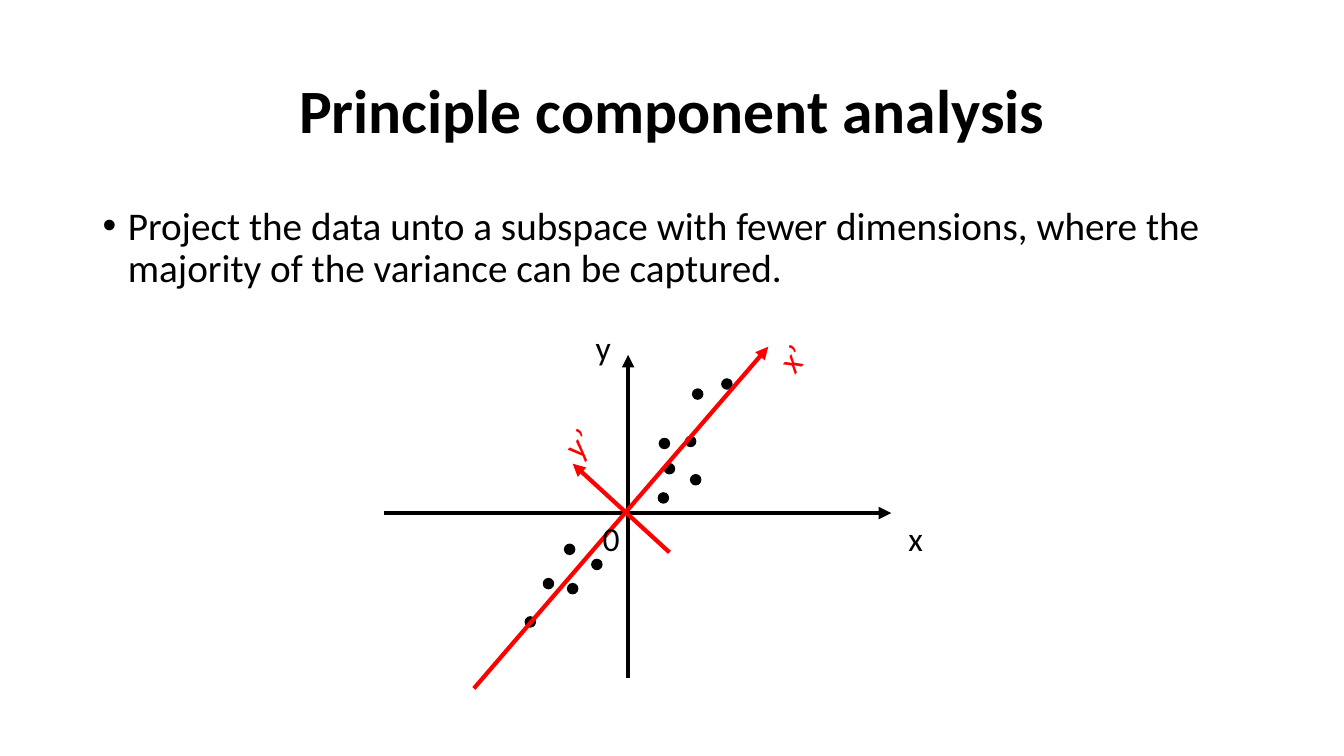
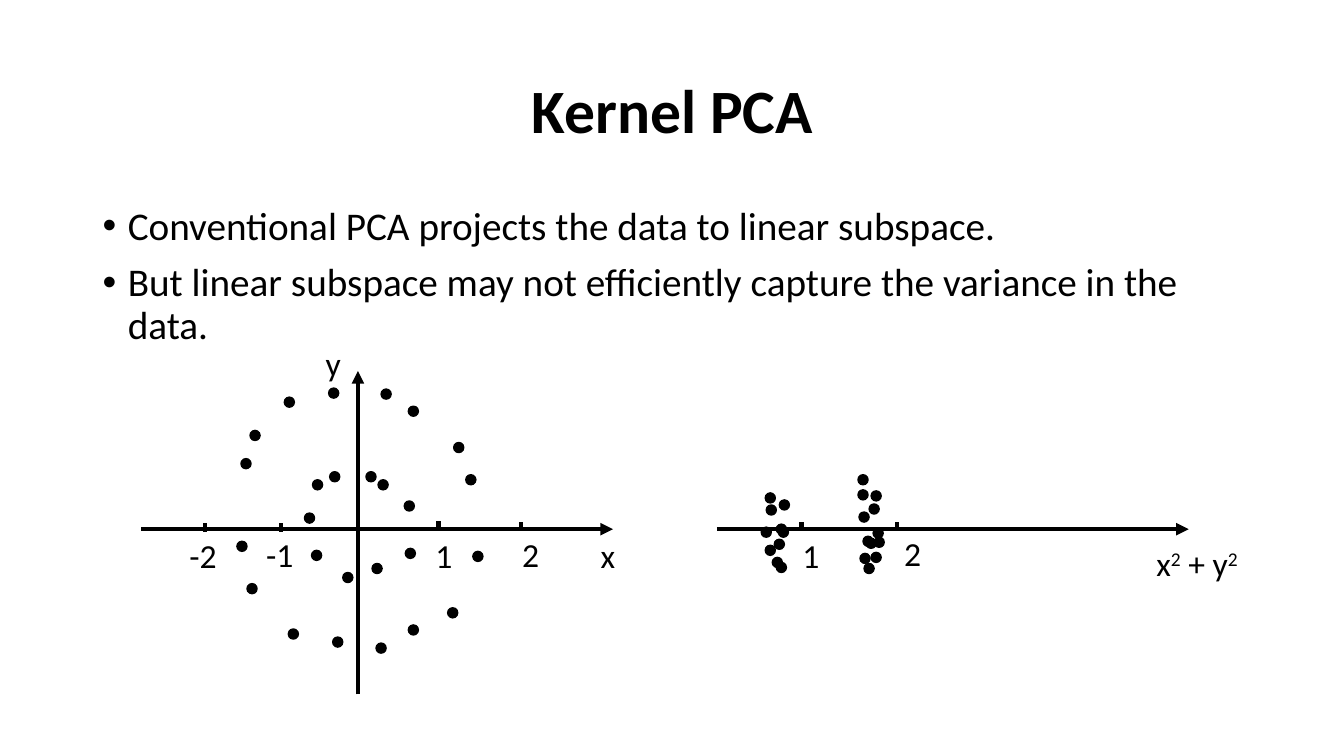
from dataclasses import dataclass

from lxml.etree import SubElement
from pptx import Presentation
from pptx.dml.color import RGBColor
from pptx.enum.shapes import MSO_CONNECTOR as Connector, MSO_SHAPE as Preset
from pptx.enum.text import MSO_ANCHOR as Anchor, MSO_AUTO_SIZE as AutoSize, PP_ALIGN as Align
from pptx.oxml.ns import qn
from pptx.slide import Slide
from pptx.text.text import TextFrame
from pptx.util import Inches, Pt

COLORS = {"ink": "000000", "component": "FF0000", "background": "FFFFFF"}
FONT = "Calibri"
DOT_SIZE = 0.1
LABEL_HEIGHT = 0.5
AXIS_WIDTH = 3
SUPERSCRIPT = "30000"

Point = tuple[float, float]


@dataclass(frozen=True)
class Line:
    start: Point
    end: Point
    color: str = "ink"
    arrow: bool = True


@dataclass(frozen=True)
class Label:
    text: str
    left: float
    top: float
    width: float = 0.37
    color: str = "ink"
    rotation: float = 0


@dataclass(frozen=True)
class Plot:
    dots: list[Point]
    lines: list[Line]
    labels: list[Label]


def tick(x: float, top: float = 5.18) -> Line:
    return Line((x, top), (x, top + 0.09), arrow=False)


def rgb(name: str) -> RGBColor:
    return RGBColor.from_string(COLORS[name])


def style_runs(text_frame: TextFrame, size: float, color: str = "ink", bold: bool = False) -> None:
    for paragraph in text_frame.paragraphs:
        for run in paragraph.runs:
            run.font.name = FONT
            run.font.size = Pt(size)
            run.font.bold = bold
            run.font.color.rgb = rgb(color)


def add_text_frame(slide: Slide, left: float, top: float, width: float, height: float) -> TextFrame:
    shape = slide.shapes.add_textbox(Inches(left), Inches(top), Inches(width), Inches(height))
    shape.text_frame.word_wrap = True
    return shape.text_frame


def add_title(slide: Slide, text: str) -> None:
    text_frame = add_text_frame(slide, 0.92, 0.4, 11.5, 1.45)
    text_frame.vertical_anchor = Anchor.MIDDLE
    text_frame.text = text
    paragraph = text_frame.paragraphs[0]
    paragraph.alignment = Align.CENTER
    paragraph.line_spacing = 0.9
    style_runs(text_frame, 44, bold=True)


def add_bullets(slide: Slide, bullets: list[str]) -> None:
    text_frame = add_text_frame(slide, 0.92, 2, 11.5, 1.69)
    text_frame.text = "\n".join(bullets)
    for index, paragraph in enumerate(text_frame.paragraphs):
        paragraph.line_spacing = 0.9
        paragraph.space_before = Pt(10 if index else 0)
        properties = paragraph._p.get_or_add_pPr()
        properties.set("marL", str(Inches(0.25)))
        properties.set("indent", str(-Inches(0.25)))
        SubElement(properties, qn("a:buFont")).set("typeface", "Arial")
        SubElement(properties, qn("a:buChar")).set("char", "•")
    style_runs(text_frame, 28)


def add_dot(slide: Slide, dot: Point) -> None:
    left, top = dot
    shape = slide.shapes.add_shape(
        Preset.OVAL, Inches(left), Inches(top), Inches(DOT_SIZE), Inches(DOT_SIZE)
    )
    shape.shadow.inherit = False
    shape.fill.solid()
    shape.fill.fore_color.rgb = rgb("ink")
    shape.line.color.rgb = rgb("ink")
    shape.line.width = Pt(1)


def add_line(slide: Slide, line: Line) -> None:
    connector = slide.shapes.add_connector(
        Connector.STRAIGHT, *(Inches(value) for value in line.start + line.end)
    )
    connector.line.color.rgb = rgb(line.color)
    connector.line.width = Pt(AXIS_WIDTH)
    if line.arrow:
        SubElement(connector.line._get_or_add_ln(), qn("a:tailEnd")).set("type", "triangle")
    SubElement(connector._element.spPr, qn("a:effectLst"))


def add_label(slide: Slide, label: Label) -> None:
    shape = slide.shapes.add_textbox(
        Inches(label.left), Inches(label.top), Inches(label.width), Inches(LABEL_HEIGHT)
    )
    shape.rotation = label.rotation
    text_frame = shape.text_frame
    text_frame.word_wrap = False
    text_frame.auto_size = AutoSize.SHAPE_TO_FIT_TEXT
    paragraph = text_frame.paragraphs[0]
    for index, part in enumerate(label.text.split("^")):
        run = paragraph.add_run()
        run.text = part
        if index % 2:
            run._r.get_or_add_rPr().set("baseline", SUPERSCRIPT)
    style_runs(text_frame, 24, label.color)


def add_plot(slide: Slide, plot: Plot) -> None:
    for dot in plot.dots:
        add_dot(slide, dot)
    for line in plot.lines:
        add_line(slide, line)
    for label in plot.labels:
        add_label(slide, label)


def add_slide(presentation, title: str, bullets: list[str], plots: list[Plot]) -> None:
    slide = presentation.slides.add_slide(presentation.slide_layouts[6])
    slide.background.fill.solid()
    slide.background.fill.fore_color.rgb = rgb("background")
    add_title(slide, title)
    add_bullets(slide, bullets)
    for plot in plots:
        add_plot(slide, plot)


COMPONENT_PLOT = Plot(
    dots=[
        (6.59, 4.6), (5.63, 5.79), (6.53, 4.89), (6.85, 4.71), (5.39, 5.74), (5.6, 5.4),
        (6.8, 4.33), (5.21, 6.12), (7.16, 3.76), (6.87, 3.86), (6.54, 4.35), (5.87, 5.55),
    ],
    lines=[
        Line((6.23, 6.73), (6.23, 3.52)),
        Line((3.81, 5.09), (8.84, 5.09)),
        Line((4.7, 6.83), (7.62, 3.44), "component"),
        Line((6.64, 5.48), (5.68, 4.6), "component"),
    ],
    labels=[
        Label("0", 5.88, 5.09),
        Label("x", 8.91, 5.09, 0.35),
        Label("y", 5.81, 3.19, 0.35),
        Label("x’", 7.64, 3.3, 0.44, "component", 309.8),
        Label("y’", 5.51, 4.14, 0.45, "component", 314.6),
    ],
)

INNER_RING = [
    (3.63, 4.68), (4.02, 5.44), (3.75, 4.76), (4.01, 4.97), (3.1, 4.76), (3.09, 5.46),
    (3.69, 5.59), (3.27, 4.68), (3.02, 5.09), (3.4, 5.68),
]
OUTER_RING = [
    (4.69, 5.47), (4.62, 4.71), (2.48, 4.27), (2.82, 3.94), (2.39, 4.55), (3.78, 3.86),
    (3.26, 3.85), (4.5, 4.39), (3.3, 6.32), (3.73, 6.38), (2.86, 6.24), (4.05, 4.03),
    (2.35, 5.37), (2.45, 5.79), (4.05, 6.2), (4.44, 6.03),
]
RING_PLOT = Plot(
    dots=INNER_RING + OUTER_RING,
    lines=[
        Line((3.55, 6.89), (3.55, 3.68)),
        Line((1.4, 5.25), (6.08, 5.25)),
        tick(2.03, 5.19), tick(2.79, 5.19), tick(4.35, 5.17), tick(5.17),
    ],
    labels=[
        Label("x", 5.86, 5.26, 0.35),
        Label("y", 3.13, 3.35, 0.35),
        Label("-2", 1.78, 5.26, 0.48),
        Label("-1", 2.54, 5.25, 0.48),
        Label("1", 4.22, 5.26),
        Label("2", 5.08, 5.25),
    ],
)

INNER_CLUSTER = [
    (7.7, 5.2), (7.72, 5.23), (7.68, 5.35), (7.6, 5.01), (7.55, 5.23), (7.59, 5.41),
    (7.73, 4.96), (7.66, 5.53), (7.59, 4.89), (7.7, 5.58),
]
OUTER_CLUSTER = [
    (8.52, 5.08), (8.56, 5.32), (8.66, 5.24), (8.67, 5.33), (8.62, 5), (8.64, 5.48),
    (8.64, 4.87), (8.59, 5.34), (8.51, 4.86), (8.53, 5.49), (8.57, 5.59), (8.51, 4.71),
]
KERNEL_PLOT = Plot(
    dots=INNER_CLUSTER + OUTER_CLUSTER,
    lines=[Line((7.11, 5.25), (11.79, 5.25)), tick(7.95), tick(8.9)],
    labels=[
        Label("x^2^ + y^2", 11.37, 5.34, 1.05),
        Label("1", 7.86, 5.26),
        Label("2", 8.87, 5.24),
    ],
)


def main() -> None:
    presentation = Presentation()
    presentation.slide_width = Inches(13.33)
    presentation.slide_height = Inches(7.5)
    add_slide(
        presentation,
        "Principle component analysis",
        [
            "Project the data unto a subspace with fewer dimensions, "
            "where the majority of the variance can be captured."
        ],
        [COMPONENT_PLOT],
    )
    add_slide(
        presentation,
        "Kernel PCA",
        [
            "Conventional PCA projects the data to linear subspace.",
            "But linear subspace may not efficiently capture the variance in the data.",
        ],
        [RING_PLOT, KERNEL_PLOT],
    )
    presentation.save("out.pptx")


if __name__ == "__main__":
    main()
